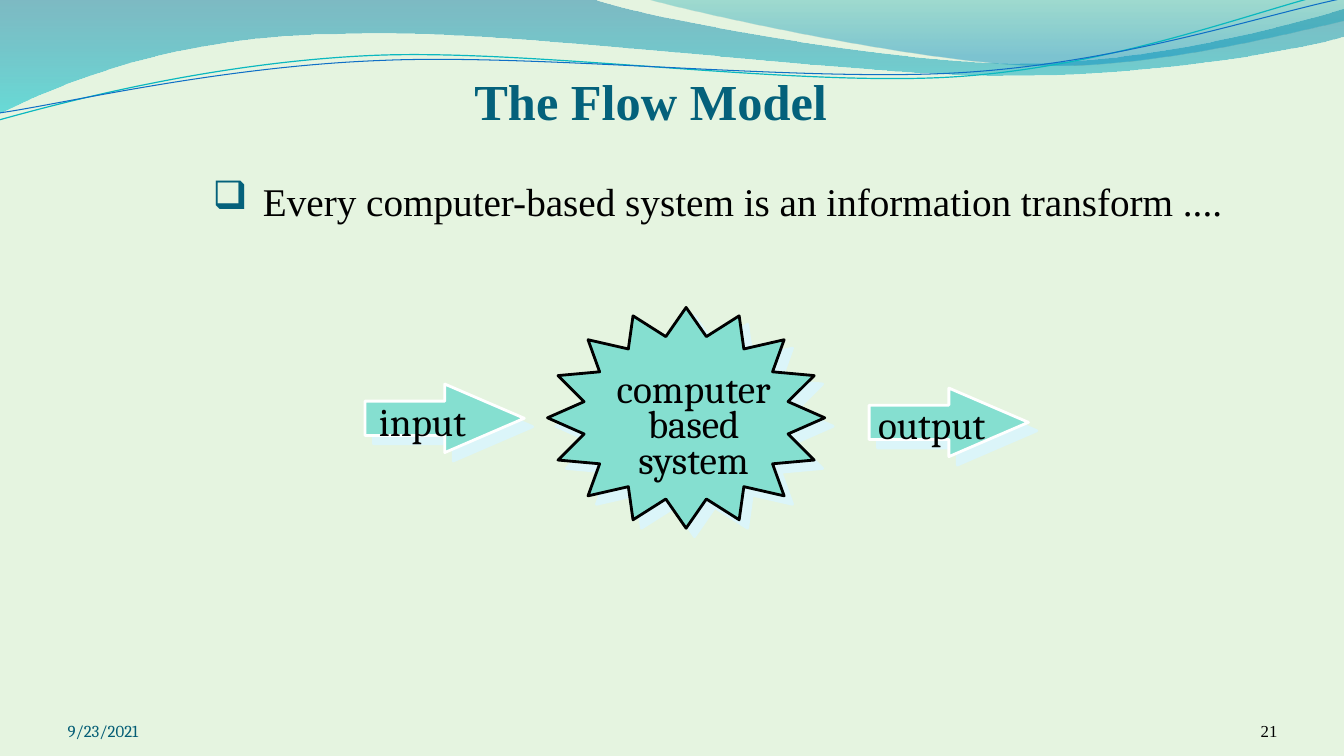
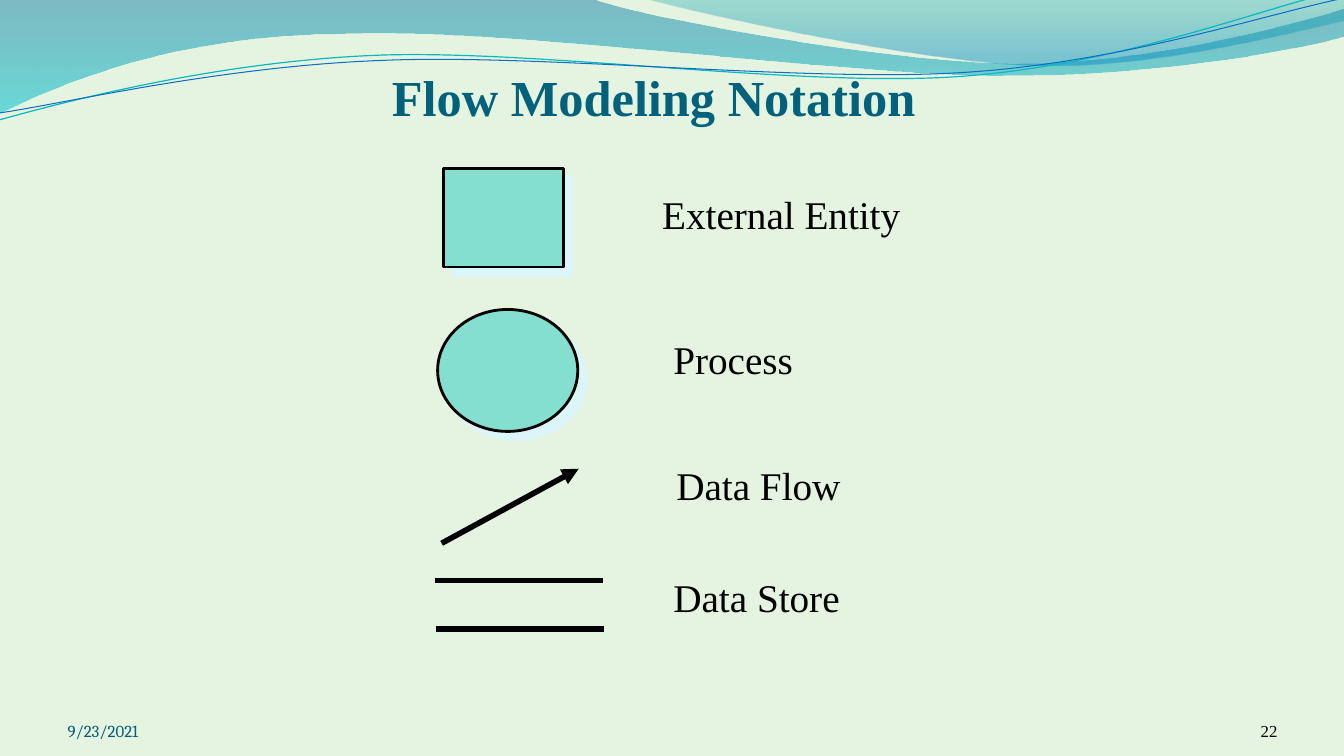
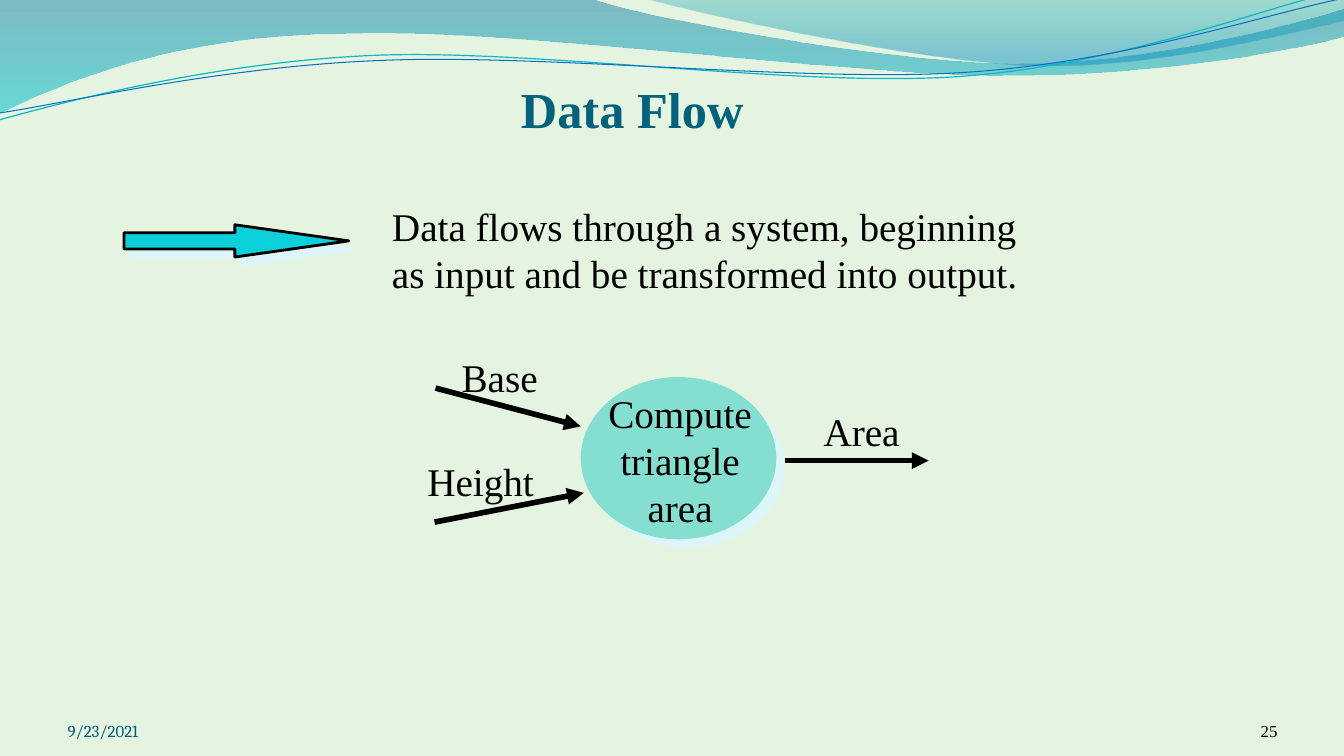
"""Build three slides on flow modelling: the model, its notation and data flow."""
from dataclasses import dataclass
from functools import singledispatch
from typing import Any, NamedTuple, Optional

from lxml import etree
from pptx import Presentation
from pptx import util as u
from pptx.dml.color import RGBColor
from pptx.enum import shapes, text
from pptx.oxml.ns import qn
from pptx.slide import Slide

PX = 9144
WIDTH, HEIGHT = 1333, 750
COLORS = {
    "page": "E5F4E0", "title": "04617B", "date": "045D75", "ink": "000000",
    "white": "FFFFFF", "mint": "85DFD0", "cyan": "0BD0D9", "shade": "DBF5F9",
    "deep": "0074A1", "aqua": "00C6CF", "sea": "00A1A9", "lake": "008BBF",
    "teal_wave": "0AB8BF", "blue_wave": "0F6FC6",
}
SERIF, BODY = "Times New Roman", "Cambria"
INSETS = {"margin_left": u.Pt(7.8), "margin_right": u.Pt(7.8),
          "margin_top": u.Pt(3.9), "margin_bottom": u.Pt(3.9)}
NO_INSETS = dict.fromkeys(INSETS, 0)
TITLE_FONT = {"name": SERIF, "size": u.Pt(36), "bold": True}
SHAPE, ALIGN = shapes.MSO_SHAPE, text.PP_ALIGN


class Box(NamedTuple):
    """A frame in px."""
    left: int
    top: int
    width: int
    height: int

    def emu(self) -> list[int]:
        """Return the frame in EMU."""
        return [side * PX for side in self]


class Stop(NamedTuple):
    """A translucent gradient stop."""
    position: float
    color: str
    opacity: int


@dataclass(frozen=True)
class Wave:
    """A run of points: pairs are straight ends, sextuples are curves."""
    points: tuple[tuple[int, ...], ...]
    stops: tuple[Stop, ...] = ()
    line: str = ""
    weight: float = 0


@dataclass(frozen=True)
class Label:
    """A text box, one paragraph to a line."""
    box: Box
    lines: tuple[str, ...]
    font: str = SERIF
    size: int = 28
    color: str = "ink"
    align: Any = ALIGN.LEFT
    wrap: bool = False
    spacing: Optional[float] = None
    bullet: str = ""
    footer: bool = False


@dataclass(frozen=True)
class Block:
    """A preset shape with a hard shadow."""
    kind: Any
    box: Box
    fill: str = "mint"
    line: str = "ink"
    head: Optional[float] = None


@dataclass(frozen=True)
class Stroke:
    """A thick line, with or without an arrowhead."""
    start: tuple[int, int]
    end: tuple[int, int]
    arrow: bool = True


class Page(NamedTuple):
    """The content of one slide."""
    title: str
    title_box: Box
    number: int
    items: tuple[Any, ...]


WAVES = (
    Wave(((0, -1), (587, -1), (634, 17, 885, 63, 1011, 63),
          (1138, 63, 1278, 26, 1333, 9), (1335, 36),
          (1311, 44, 1160, 76, 994, 75), (829, 75, 509, 28, 343, 34),
          (172, 35, 61, 83, -1, 113), (0, -1)),
         stops=(Stop(0, "deep", 45), Stop(1, "aqua", 55))),
    Wave(((639, -1), (679, 11, 909, 62, 1025, 65),
          (1141, 69, 1282, 32, 1333, 21), (1333, 0), (639, -1)),
         stops=(Stop(0, "sea", 30), Stop(0.8, "lake", 45))),
    Wave(((-1, 119), (64, 101, 211, 62, 369, 55), (527, 48, 790, 87, 950, 76),
          (1110, 65, 1252, 8, 1331, -10)), line="teal_wave", weight=0.85),
    Wave(((0, 112), (63, 103, 218, 66, 378, 60), (537, 53, 796, 82, 955, 72),
          (1115, 62, 1255, 14, 1334, -2)), line="blue_wave", weight=0.75),
)

PAGES = (
    Page("The Flow Model", Box(190, 0, 911, 135), 21, (
        Label(Box(200, 170, 1029, 58),
              ("Every computer-based system is an information transform ....",),
              wrap=True, bullet="❑"),
        Block(SHAPE.STAR_16_POINT, Box(543, 305, 275, 219)),
        Block(SHAPE.RIGHT_ARROW, Box(362, 381, 158, 68), line="white", head=1.16),
        Block(SHAPE.RIGHT_ARROW, Box(862, 385, 158, 68), line="white", head=1.16),
        Label(Box(595, 367, 186, 119), ("computer", "based", "system"),
              font=BODY, align=ALIGN.CENTER, spacing=0.75),
        Label(Box(365, 389, 115, 58), ("input",), font=BODY),
        Label(Box(860, 392, 138, 58), ("output",), font=BODY),
    )),
    Page("Flow Modeling Notation", Box(240, 100, 817, 31), 22, (
        Block(SHAPE.RECTANGLE, Box(440, 167, 119, 98)),
        Block(SHAPE.OVAL, Box(434, 307, 139, 121)),
        Stroke((438, 539), (574, 465)),
        Stroke((431, 576), (598, 576), arrow=False),
        Stroke((432, 624), (599, 624), arrow=False),
        Label(Box(646, 183, 261, 58), ("External Entity",)),
        Label(Box(657, 327, 142, 58), ("Process",)),
        Label(Box(660, 452, 187, 58), ("Data Flow",)),
        Label(Box(657, 563, 189, 58), ("Data Store",)),
    )),
    Page("Data Flow", Box(220, 80, 814, 63), 25, (
        Block(SHAPE.RIGHT_ARROW, Box(123, 223, 223, 32), fill="cyan", head=3.53),
        Label(Box(378, 195, 677, 105),
              ("Data flows through a system, beginning",
               "as input and be transformed into output."), wrap=True),
        Block(SHAPE.OVAL, Box(576, 374, 194, 161), line=""),
        Label(Box(570, 381, 209, 186), ("Compute", "triangle area"),
              align=ALIGN.CENTER, wrap=True),
        Stroke((432, 385), (576, 423)),
        Stroke((431, 518), (579, 489)),
        Stroke((779, 457), (921, 457)),
        Label(Box(447, 345, 99, 58), ("Base",)),
        Label(Box(413, 448, 129, 58), ("Height",)),
        Label(Box(806, 399, 99, 58), ("Area",)),
    )),
)


def rgb(name: str) -> RGBColor:
    """Look up a named colour."""
    return RGBColor.from_string(COLORS[name])


def apply(target: Any, values: dict[str, Any]) -> None:
    """Set each format value on the target."""
    for name, value in values.items():
        setattr(target, name, value)


def add_xml(parent: Any, tag: str, **attributes: Any) -> Any:
    """Append a drawing element with the given attributes."""
    return etree.SubElement(
        parent, qn(tag), {name: str(value) for name, value in attributes.items()})


def set_line(line: Any, color: str, weight: float) -> None:
    """Give a line its colour and weight, or hide it."""
    if not color:
        line.fill.background()
        return
    line.color.rgb = rgb(color)
    line.width = u.Pt(weight)


def bend(outline: Any, points: tuple[tuple[int, ...], ...]) -> None:
    """Join the three segments of each sextuple into one cubic curve."""
    segments = iter(list(outline.iter(qn("a:lnTo"))))
    for point in points[1:]:
        group = [next(segments) for _ in range(len(point) // 2)]
        if len(group) == 1:
            continue
        curve = etree.Element(qn("a:cubicBezTo"))
        group[0].addprevious(curve)
        for segment in group:
            curve.append(segment[0])
            outline.remove(segment)


def draw_wave(slide: Slide, wave: Wave) -> Any:
    """Draw one wave of the top band and return its shape."""
    start, *rest = [point[i:i + 2] for point in wave.points
                    for i in range(0, len(point), 2)]
    builder = slide.shapes.build_freeform(*start, scale=PX)
    builder.add_line_segments(rest, close=bool(wave.stops))
    shape = builder.convert_to_shape()
    bend(next(shape.element.spPr.iter(qn("a:path"))), wave.points)
    shape.shadow.inherit = False
    set_line(shape.line, wave.line, wave.weight)
    if not wave.stops:
        shape.fill.background()
        return shape
    shape.fill.gradient()
    shape.fill.gradient_angle = 270
    for target, stop in zip(shape.fill.gradient_stops, wave.stops):
        target.position = stop.position
        target.color.rgb = rgb(stop.color)
    tints = shape.element.spPr.find(qn("a:gradFill")).iter(qn("a:srgbClr"))
    for tint, stop in zip(list(tints), wave.stops):
        add_xml(tint, "a:alpha", val=stop.opacity * 1000)
    return shape


@singledispatch
def draw(item: Any, slide: Slide) -> None:
    """Draw one item of a slide."""
    raise TypeError(item)


@draw.register
def draw_label(item: Label, slide: Slide) -> None:
    """Draw a text box."""
    frame = slide.shapes.add_textbox(*item.box.emu()).text_frame
    apply(frame, NO_INSETS if item.footer else INSETS)
    fit, anchor = text.MSO_AUTO_SIZE.SHAPE_TO_FIT_TEXT, text.MSO_ANCHOR.TOP
    if item.footer:
        fit, anchor = text.MSO_AUTO_SIZE.NONE, text.MSO_ANCHOR.BOTTOM
    apply(frame, {"word_wrap": item.wrap, "auto_size": fit, "vertical_anchor": anchor})
    frame.text = "\n".join(item.lines)
    for paragraph in frame.paragraphs:
        apply(paragraph, {"alignment": item.align, "line_spacing": item.spacing})
        if item.bullet:
            add_bullet(paragraph, item.bullet)
        apply(paragraph.font, {"name": item.font, "size": u.Pt(item.size)})
        paragraph.font.color.rgb = rgb(item.color)


def add_bullet(paragraph: Any, mark: str) -> None:
    """Give a paragraph a coloured bullet and a hanging indent."""
    properties = paragraph._p.get_or_add_pPr()
    for name, value in {"marL": 50 * PX, "indent": -50 * PX}.items():
        properties.set(name, str(value))
    add_xml(add_xml(properties, "a:buClr"), "a:srgbClr", val=COLORS["title"])
    add_xml(properties, "a:buChar", char=mark)


@draw.register
def draw_block(item: Block, slide: Slide) -> None:
    """Draw a preset shape with its shadow."""
    shape = slide.shapes.add_shape(item.kind, *item.box.emu())
    if item.head is not None:
        shape.adjustments[1] = item.head
    shape.shadow.inherit = False
    shape.fill.solid()
    shape.fill.fore_color.rgb = rgb(item.fill)
    set_line(shape.line, item.line, 2)
    shadow = add_xml(shape.element.spPr.find(qn("a:effectLst")), "a:outerShdw",
                     dist=u.Pt(8.5), dir=45 * 60000, algn="ctr", rotWithShape=0)
    add_xml(shadow, "a:srgbClr", val=COLORS["shade"])


@draw.register
def draw_stroke(item: Stroke, slide: Slide) -> None:
    """Draw a line or an arrow."""
    ends = [side * PX for side in item.start + item.end]
    connector = slide.shapes.add_connector(shapes.MSO_CONNECTOR.STRAIGHT, *ends)
    set_line(connector.line, "ink", 4)
    properties = connector.element.spPr
    if item.arrow:
        add_xml(properties.find(qn("a:ln")), "a:tailEnd", type="triangle")
    add_xml(properties, "a:effectLst")


def set_title(slide: Slide, page: Page) -> None:
    """Place and format the title."""
    title = slide.shapes.title
    apply(title, dict(zip(("left", "top", "width", "height"), page.title_box.emu())))
    frame = title.text_frame
    frame.text = page.title
    apply(frame, INSETS | {"vertical_anchor": text.MSO_ANCHOR.BOTTOM, "word_wrap": True,
                           "auto_size": text.MSO_AUTO_SIZE.NONE})
    heading = frame.paragraphs[0]
    heading.alignment = ALIGN.CENTER
    apply(heading.font, TITLE_FONT)
    heading.font.color.rgb = rgb("title")


def set_master(master: Any, slide: Slide) -> None:
    """Put the page colour and the waves on the master."""
    master.background.fill.solid()
    master.background.fill.fore_color.rgb = rgb("page")
    for wave in WAVES:
        master.element.cSld.spTree.append(draw_wave(slide, wave).element)


def main() -> None:
    """Build and save the presentation."""
    deck = Presentation()
    apply(deck, {"slide_width": WIDTH * PX, "slide_height": HEIGHT * PX})
    for page in PAGES:
        slide = deck.slides.add_slide(deck.slide_layouts[5])
        if page is PAGES[0]:
            set_master(deck.slide_master, slide)
        set_title(slide, page)
        footers = (
            Label(Box(67, 695, 311, 40), ("9/23/2021",), font=BODY, size=12,
                  color="date", wrap=True, footer=True),
            Label(Box(1156, 695, 111, 40), (str(page.number),), size=12,
                  align=ALIGN.RIGHT, wrap=True, footer=True),
        )
        for item in page.items + footers:
            draw(item, slide)
    deck.save("out.pptx")


if __name__ == "__main__":
    main()
